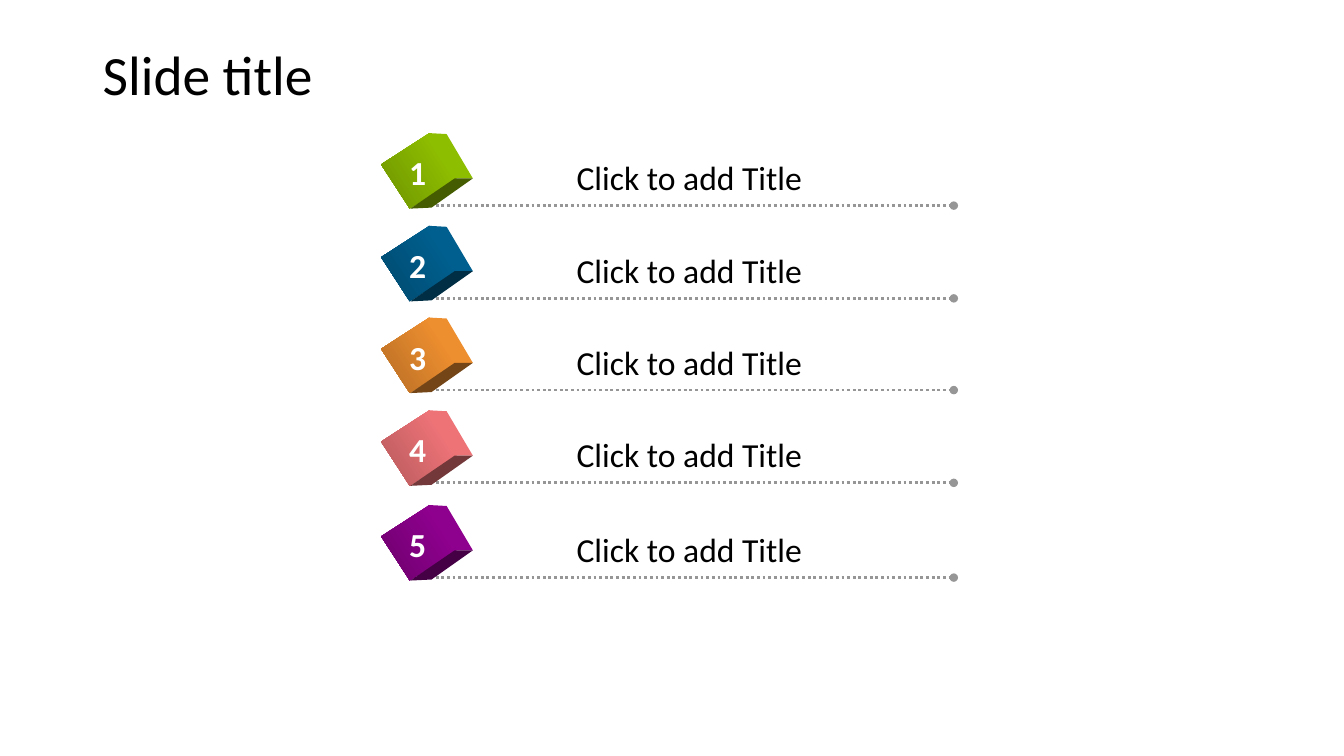
from lxml import etree
from pptx import Presentation
from pptx import util as u
from pptx.dml.color import RGBColor
from pptx.enum import dml, shapes, text
from pptx.oxml import ns

# The page is a grid of 1333 columns by 750 rows; every length below counts cells.
COLUMNS, ROWS = 1333, 750
CELL = u.Inches(0.01)

FONT = "Calibri"
BLACK = RGBColor(0x00, 0x00, 0x00)
WHITE = RGBColor(0xFF, 0xFF, 0xFF)
GREY = RGBColor(0x96, 0x96, 0x96)
# Light and dark end of each cube's front face
CUBE_COLOURS = [
    (RGBColor(0x99, 0xCC, 0x00), RGBColor(0x6D, 0x92, 0x00)),
    (RGBColor(0x00, 0x66, 0x99), RGBColor(0x00, 0x49, 0x6D)),
    (RGBColor(0xFF, 0x99, 0x33), RGBColor(0xB6, 0x6D, 0x24)),
    (RGBColor(0xFF, 0x7C, 0x80), RGBColor(0xB6, 0x59, 0x5C)),
    (RGBColor(0x99, 0x00, 0x99), RGBColor(0x6D, 0x00, 0x6D)),
]
LINE_ROWS = [204, 296, 387, 479, 573]

# Side faces of a cube: brightness and corners (column, rows from the dotted line)
SIDE_FACES = [
    (0.93, [(425, -72), (443, -71), (469, -27), (451, -27)]),
    (0.45, [(451, -27), (469, -27), (428, 2), (407, 3)]),
]

TITLE_FRAME = {"word_wrap": True, "vertical_anchor": text.MSO_ANCHOR.MIDDLE}
ITEM_FRAME = {"word_wrap": False, "auto_size": text.MSO_AUTO_SIZE.SHAPE_TO_FIT_TEXT}
TITLE_FONT = {"name": FONT, "size": u.Pt(39.6)}
LABEL_FONT = {"name": FONT, "size": u.Pt(24)}
NUMBER_FONT = {**LABEL_FONT, "bold": True}


def cells(*counts):
    """Turn counts of grid cells into lengths."""
    return [CELL * count for count in counts]


def apply_format(target, values):
    """Set every attribute named in a dict of format values."""
    for name, value in values.items():
        setattr(target, name, value)


def shade(colour, brightness):
    """Return the colour darkened to a share of its brightness."""
    return RGBColor(*(round(channel * brightness) for channel in colour))


def add_text(parent, place, words, frame_format, font_format, colour=BLACK):
    """Add a text box holding one span of text."""
    box = parent.shapes.add_textbox(*cells(*place))
    frame = box.text_frame
    apply_format(frame, frame_format)
    para = frame.paragraphs[0]
    span = para.add_run()
    span.text = words
    apply_format(span.font, font_format)
    span.font.color.rgb = colour
    return para


def add_dotted_line(parent, row):
    """Add a dotted rule that ends in a round dot."""
    rule = parent.shapes.add_connector(
        shapes.MSO_CONNECTOR.STRAIGHT, *cells(421, row, 946, row))
    rule.line.color.rgb = GREY
    apply_format(rule.line, {"width": u.Pt(2),
                             "dash_style": dml.MSO_LINE.ROUND_DOT})
    tail = etree.SubElement(rule.line._get_or_add_ln(), ns.qn("a:tailEnd"))
    tail.set("type", "oval")
    etree.SubElement(rule._element.spPr, ns.qn("a:effectLst"))


def add_cube(parent, row, light, dark):
    """Add a tilted cube: a shaded front square and two side faces."""
    front = parent.shapes.add_shape(
        shapes.MSO_SHAPE.RECTANGLE, *cells(390, row - 63, 52, 57))
    front.rotation = 57
    front.shadow.inherit = False
    front.line.fill.background()
    front.fill.gradient()
    front.fill.gradient_angle = 270
    for stop, colour in zip(front.fill.gradient_stops, (light, dark)):
        stop.color.rgb = colour

    for brightness, corners in SIDE_FACES:
        points = [(column, row + offset) for column, offset in corners]
        outline = parent.shapes.build_freeform(*points[0], scale=CELL)
        outline.add_line_segments(points[1:], close=True)
        side = outline.convert_to_shape()
        side.shadow.inherit = False
        side.line.fill.background()
        side.fill.solid()
        side.fill.fore_color.rgb = shade(light, brightness)


def add_item(page, number, row, light, dark):
    """Add one numbered list item as a group."""
    item = page.shapes.add_group_shape()
    add_dotted_line(item, row)
    add_cube(item, row, light, dark)
    add_text(item, (562, row - 53, 267, 50), "Click to add Title",
             ITEM_FRAME, LABEL_FONT)
    add_text(item, (396, row - 58, 39, 50), str(number),
             ITEM_FRAME, NUMBER_FONT, WHITE)


def main():
    """Build the numbered list slide and save it."""
    deck = Presentation()
    deck.slide_width, deck.slide_height = cells(COLUMNS, ROWS)
    page = deck.slides.add_slide(deck.slide_layouts[6])
    title = add_text(page, (92, 40, 1150, 73), "Slide title",
                     TITLE_FRAME, TITLE_FONT)
    title.line_spacing = 0.9
    for number, (row, colours) in enumerate(zip(LINE_ROWS, CUBE_COLOURS), 1):
        add_item(page, number, row, *colours)
    deck.save("out.pptx")


main()
